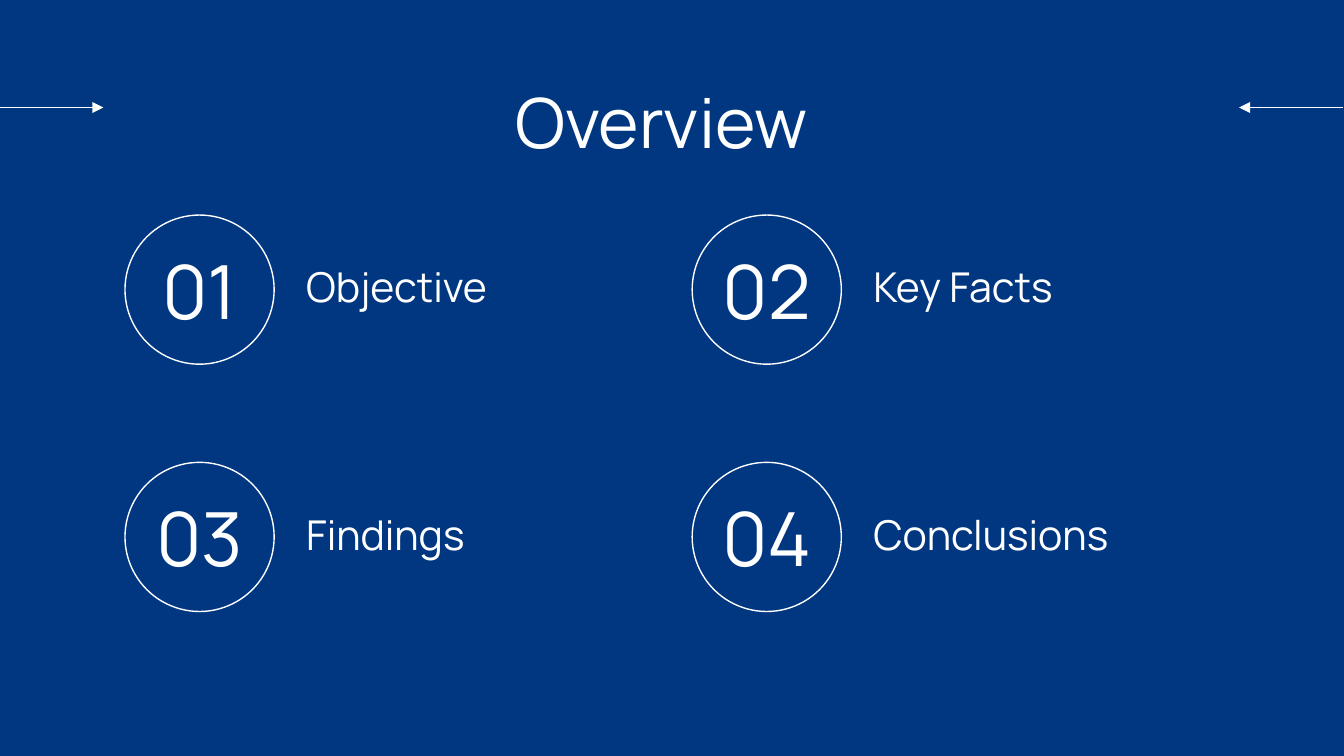
from lxml import etree
from pptx import Presentation
from pptx.dml.color import RGBColor
from pptx.enum.shapes import MSO_CONNECTOR, MSO_SHAPE
from pptx.enum.text import MSO_ANCHOR, PP_ALIGN
from pptx.oxml.ns import qn
from pptx.util import Inches, Pt

OVAL = MSO_SHAPE.OVAL
STRAIGHT = MSO_CONNECTOR.STRAIGHT
TOP, MIDDLE, BOTTOM = MSO_ANCHOR.TOP, MSO_ANCHOR.MIDDLE, MSO_ANCHOR.BOTTOM
LEFT, CENTER = PP_ALIGN.LEFT, PP_ALIGN.CENTER

WIDTH = 10
HEIGHT = WIDTH * 9 / 16
FONT = "Manrope"
BLUE, WHITE = "013781", "FFFFFF"
TOPICS = ["Objective", "Key Facts", "Findings", "Conclusions"]
COLUMNS = 2
GRID_LEFT, GRID_TOP = 0.93, 1.6
COLUMN_STEP, ROW_STEP = 4.22, 1.84
ITEM_WIDTH, CIRCLE_SIZE = 3.91, 1.11


def color(value):
    """Return the colour for a hex string."""
    return RGBColor.from_string(value)


def style_line(line):
    """Give a line the thin white stroke of the slide."""
    line.color.rgb = color(WHITE)
    line.width = Pt(0.75)


def add_text(slide, text, box, size, align, anchor):
    """Place one line of white text in a box."""
    shape = slide.shapes.add_textbox(*map(Inches, box))
    frame = shape.text_frame
    frame.word_wrap = True
    frame.vertical_anchor = anchor
    frame.margin_left = frame.margin_right = Inches(0.1)
    frame.margin_top = frame.margin_bottom = Inches(0.1)
    frame.text = text
    paragraph = frame.paragraphs[0]
    paragraph.alignment = align
    font = paragraph.runs[0].font
    font.name, font.size = FONT, Pt(size)
    font.color.rgb = color(WHITE)


def add_arrow(slide, left, right, y, arrow_end):
    """Draw a horizontal line with an arrowhead at the named end."""
    points = map(Inches, (left, y, right, y))
    connector = slide.shapes.add_connector(STRAIGHT, *points)
    style_line(connector.line)
    properties = connector._element.spPr
    stroke = properties.find(qn("a:ln"))
    etree.SubElement(stroke, qn(arrow_end), type="triangle")
    etree.SubElement(properties, qn("a:effectLst"))


def add_header(slide, box):
    """Place the title in its box and an arrow at each side of the slide."""
    add_arrow(slide, 0, 0.77, 0.8, "a:tailEnd")
    add_arrow(slide, 9.22, 9.99, 0.8, "a:headEnd")
    add_text(slide, "Overview", box, 37, CENTER, TOP)


def add_topic(slide, number, topic, box):
    """Place a circled number and its topic in a box."""
    left, top, width, height = box
    circle = slide.shapes.add_shape(
        OVAL, *map(Inches, (left, top, height, height)))
    circle.shadow.inherit = False
    circle.fill.background()
    style_line(circle.line)
    number_box = (left + 0.08, top, height - 0.16, height)
    add_text(slide, f"{number:02}", number_box, 40, CENTER, MIDDLE)
    label_left = height + 0.14
    label_box = (left + label_left, top + 0.26, width - label_left, height / 2)
    add_text(slide, topic, label_box, 22, LEFT, BOTTOM)


def add_topics(slide, left, top):
    """Lay the numbered topics out on a grid."""
    for index, topic in enumerate(TOPICS):
        row, column = divmod(index, COLUMNS)
        box = (left + column * COLUMN_STEP, top + row * ROW_STEP,
               ITEM_WIDTH, CIRCLE_SIZE)
        add_topic(slide, index + 1, topic, box)


def main():
    """Build the overview slide and save it."""
    presentation = Presentation()
    presentation.slide_width = Inches(WIDTH)
    presentation.slide_height = Inches(HEIGHT)
    slide = presentation.slides.add_slide(presentation.slide_layouts[6])
    slide.background.fill.solid()
    slide.background.fill.fore_color.rgb = color(BLUE)
    add_header(slide, (0.7, 0.49, 8.44, 0.63))
    add_topics(slide, GRID_LEFT, GRID_TOP)
    presentation.save("out.pptx")


if __name__ == "__main__":
    main()
